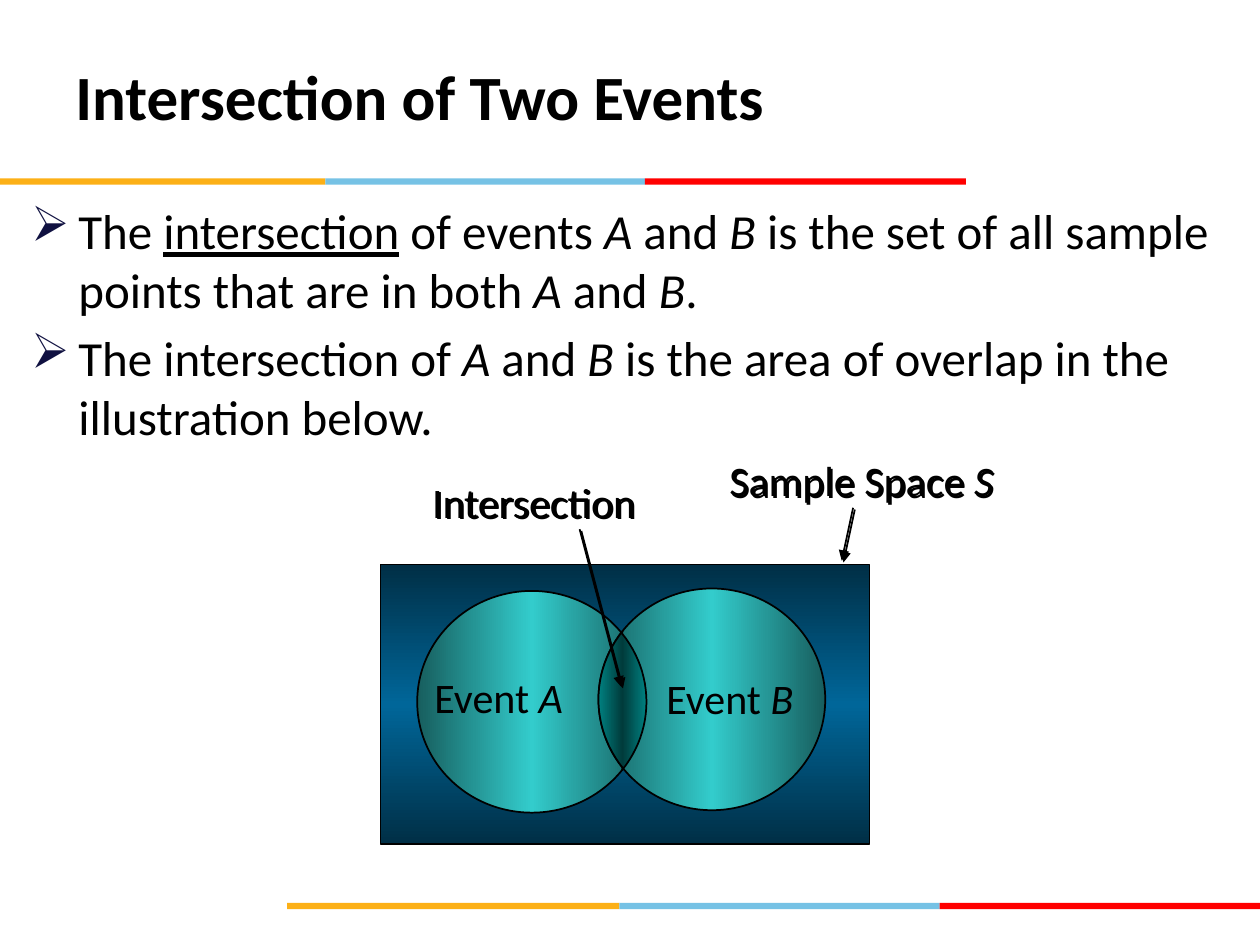
import math

import pptx
import pptx.dml.color
import pptx.enum.shapes
import pptx.enum.text
import pptx.oxml
import pptx.oxml.ns
import pptx.util

Pt = pptx.util.Pt
SHAPES = pptx.enum.shapes.MSO_SHAPE
ANCHOR = pptx.enum.text.MSO_ANCHOR
NS = pptx.oxml.ns.nsdecls("a")
COLORS = {
    "text": "000000", "bullet": "101141",
    "amber": "FCB017", "sky": "76C2E5", "red": "FF0000",
    "space": "006699", "event": "33CCCC", "overlap": "008080",
}


def rgb(name):
    return pptx.dml.color.RGBColor.from_string(COLORS[name])


def cast_shadow(shape):
    """Give a line or label a tight black shadow towards the lower right."""
    shape._element.spPr.append(pptx.oxml.parse_xml(
        f'<a:effectLst {NS}><a:outerShdw dist="17961" dir="2700000" algn="ctr" rotWithShape="0">'
        f'<a:srgbClr val="{COLORS["text"]}"/></a:outerShdw></a:effectLst>'))


def write_runs(paragraph, runs, size, bold=False):
    """Write (text, style) runs; style holds i for italic and u for underline."""
    for text, style in runs:
        run = paragraph.add_run()
        run.text = text
        formats = {"name": "Calibri", "size": Pt(size), "bold": bold,
                   "italic": "i" in style, "underline": "u" in style}
        for attribute, value in formats.items():
            setattr(run.font, attribute, value)
        run.font.color.rgb = rgb("text")


def add_text(slide, box, paragraphs, size, bold=False, wrap=True,
             anchor=ANCHOR.TOP, insets=(7.2, 3.6)):
    textbox = slide.shapes.add_textbox(*map(Pt, box))
    frame = textbox.text_frame
    side, end = map(Pt, insets)
    layout = {"word_wrap": wrap, "vertical_anchor": anchor, "margin_left": side,
              "margin_right": side, "margin_top": end, "margin_bottom": end}
    for attribute, value in layout.items():
        setattr(frame, attribute, value)
    for index, runs in enumerate(paragraphs):
        paragraph = frame.add_paragraph() if index else frame.paragraphs[0]
        write_runs(paragraph, runs, size, bold)
    return textbox


def add_bullets(slide, box, paragraphs):
    body = add_text(slide, box, paragraphs, 28, insets=(5.8, 2.9))
    for index, paragraph in enumerate(body.text_frame.paragraphs):
        if index:
            paragraph.space_before = Pt(5.6)
        properties = paragraph._p.get_or_add_pPr()
        properties.set("marL", str(Pt(27)))
        properties.set("indent", str(-Pt(27)))
        for xml in (f'<a:buClr {NS}><a:srgbClr val="{COLORS["bullet"]}"/></a:buClr>',
                    f'<a:buChar {NS} char="➢"/>'):
            properties.append(pptx.oxml.parse_xml(xml))


def add_color_bar(slide, left, top, widths):
    for color, width in zip(("amber", "sky", "red"), widths):
        segment = slide.shapes.add_shape(SHAPES.RECTANGLE, *map(Pt, (left, top, width, 3.6)))
        segment.shadow.inherit = False
        segment.fill.solid()
        segment.fill.fore_color.rgb = rgb(color)
        segment.line.fill.background()
        left += width


def paint_gradient(shape, color, angle, dark_stops):
    """Fill with a three-stop blend of one colour, shaded at dark_stops."""
    shade = '<a:gamma/><a:shade val="46275"/><a:invGamma/>'
    stops = "".join(
        f'<a:gs pos="{stop * 1000}"><a:srgbClr val="{COLORS[color]}">'
        f'{shade if stop in dark_stops else ""}</a:srgbClr></a:gs>'
        for stop in (0, 50, 100))
    shape.shadow.inherit = False
    shape.line.color.rgb = rgb("text")
    shape.line.width = Pt(1)
    shape._element.spPr.find(pptx.oxml.ns.qn("a:ln")).addprevious(pptx.oxml.parse_xml(
        f'<a:gradFill {NS} rotWithShape="0"><a:gsLst>{stops}</a:gsLst>'
        f'<a:lin ang="{angle * 60000}" scaled="1"/></a:gradFill>'))


def add_arrow(slide, start, end):
    arrow = slide.shapes.add_connector(
        pptx.enum.shapes.MSO_CONNECTOR.STRAIGHT, *map(Pt, start + end))
    arrow.line.color.rgb = rgb("text")
    arrow.line.width = Pt(1)
    arrow.line._get_or_add_ln().append(pptx.oxml.parse_xml(f'<a:tailEnd {NS} type="triangle"/>'))
    cast_shadow(arrow)


def arc_points(box, first, last, steps=24):
    """Points along an ellipse between two angles in degrees, clockwise from the right."""
    left, top, width, height = box
    angles = [math.radians(first + (last - first) * n / steps) for n in range(steps + 1)]
    return [(left + width / 2 * (1 + math.cos(a)), top + height / 2 * (1 + math.sin(a)))
            for a in angles]


def add_overlap(slide, event_a, event_b):
    reach = 38
    outline = arc_points(event_a, -reach, reach) + arc_points(event_b, 180 - reach, 180 + reach)
    start, *rest = [(Pt(x), Pt(y)) for x, y in outline]
    builder = slide.shapes.build_freeform(*start)
    builder.add_line_segments(rest, close=True)
    paint_gradient(builder.convert_to_shape(), "overlap", 0, (50,))


def add_venn_diagram(slide, left, top, width, height):
    def place(x, y, *size):
        return (left + x, top + y, *size)

    def add_label(box, runs, shadowed=False):
        label = add_text(slide, box, [runs], 24, wrap=False)
        if shadowed:
            cast_shadow(label)

    event_a = place(20.9, 15.1, 131, 126.7)
    event_b = place(124.5, 13.7, 129.6, 126.7)

    add_label(place(192.2, -66.2, 178.6, 36), [("Sample Space ", ""), ("S", "i")], True)
    add_arrow(slide, place(270, -32.4), place(263.5, -2.2))
    space = slide.shapes.add_shape(SHAPES.RECTANGLE, *map(Pt, (left, top, width, height)))
    paint_gradient(space, "space", 90, (0, 100))
    for event in (event_a, event_b):
        circle = slide.shapes.add_shape(SHAPES.OVAL, *map(Pt, event))
        paint_gradient(circle, "event", 0, (0, 100))
    add_label(place(23.7, 57.6, 96.5, 36), [("Event ", ""), ("A", "i")])
    add_label(place(156.2, 58.3, 96.5, 36), [("Event ", ""), ("B", "i")])
    add_overlap(slide, event_a, event_b)
    add_label(place(22.3, -54, 139.7, 36), [("Intersection", "")], True)
    add_arrow(slide, place(113.7, -20.2), place(137.5, 69.8))


def main():
    deck = pptx.Presentation()
    deck.slide_width, deck.slide_height = Pt(720), Pt(540)
    slide = deck.slides.add_slide(deck.slide_layouts[6])

    add_color_bar(slide, 164, 516, (190, 183, 183))
    add_color_bar(slide, 0, 102, (186, 182.5, 183.5))
    add_bullets(slide, (12, 111.6, 696, 386.6), [
        [("The ", ""), ("intersection", "u"), (" of events ", ""), ("A", "i"), (" and ", ""),
         ("B", "i"), (" is the set of all sample points that are in both", ""),
         (" A ", "i"), ("and ", ""), ("B", "i"), (".", "")],
        [("The intersection of ", ""), ("A", "i"), (" and ", ""), ("B", "i"),
         (" is the area of overlap in the illustration below.", "")],
    ])
    add_text(slide, (36, 21.6, 414, 66.2), [[("Intersection of Two Events", "")]], 36,
             bold=True, anchor=ANCHOR.MIDDLE)
    add_venn_diagram(slide, 217.5, 322.6, 279.4, 159.8)
    deck.save("out.pptx")


if __name__ == "__main__":
    main()
